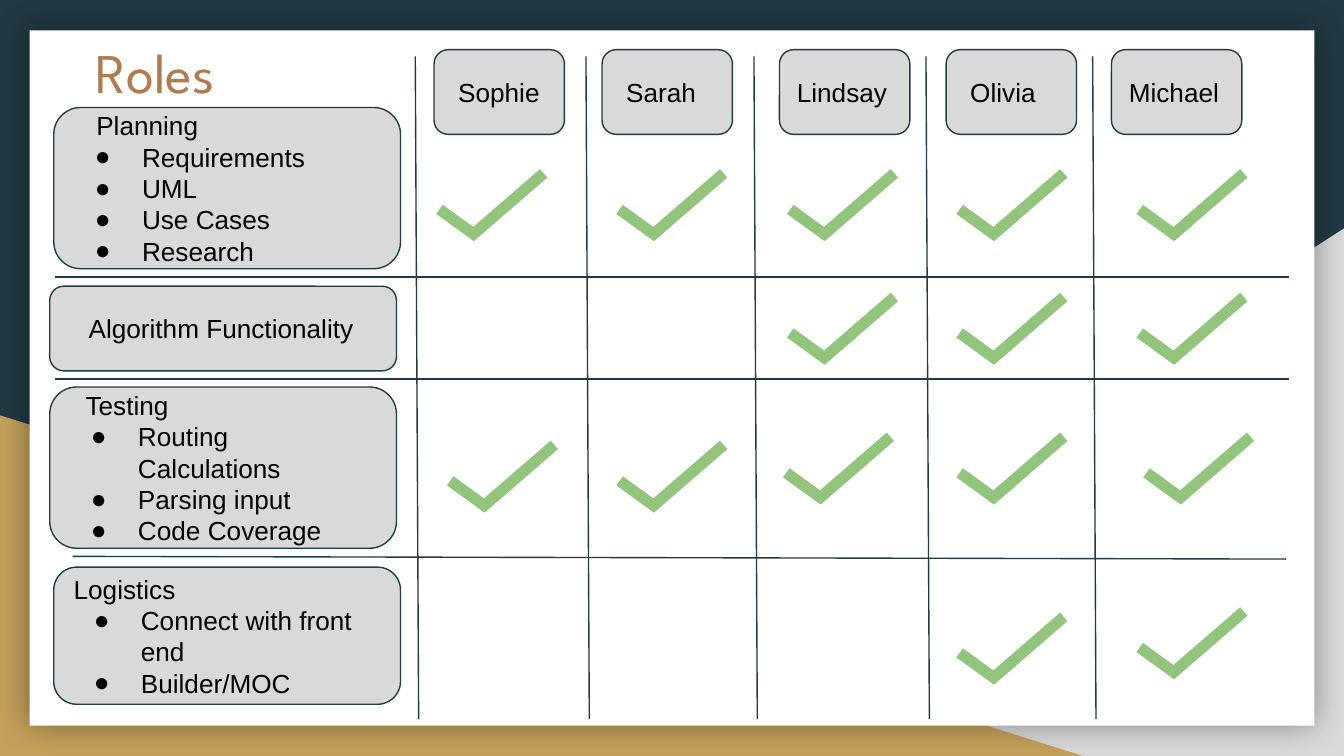
from lxml import etree
from pptx import Presentation
from pptx import util as u
from pptx.dml.color import RGBColor
from pptx.enum import shapes as sh, text as tx
from pptx.oxml.ns import qn

# Square grid: 100 columns by 56.25 rows, one cell is a tenth of an inch.
COLS, ROWS = 100, 56.25
NAVY, GOLD, GREY, GREEN = "233A44", "C4A15A", "D9D9D9", "93C47D"
KIND = sh.MSO_SHAPE

NAMES = [("Sophie", 32.3, 0.5), ("Sarah", 44.8, 0.5), ("Lindsay", 58, 0),
         ("Olivia", 70.4, 0.5), ("Michael", 82.7, 0)]
# Box, heading indent, heading, bullets
TASKS = [
    ((4, 8, 25.8, 12), 1.6, "Planning",
     ["Requirements", "UML", "Use Cases", "Research"]),
    ((3.7, 21.3, 25.8, 6.3), 1.6, "Algorithm Functionality", []),
    ((3.7, 28.8, 25.8, 12), 1.1, "Testing",
     ["Routing Calculations", "Parsing input", "Code Coverage"]),
    ((4, 42.2, 25.8, 10.2), 0, "Logistics",
     ["Connect with front end", "Builder/MOC"]),
]
RULES = [(4.1, 20.6, 95.9, 20.6), (4.1, 28.2, 95.9, 28.2),
         (5.4, 41.4, 95.7, 41.6)]
RULES += [(x, 4.2, x + 0.25, 53.5) for x in (30.9, 43.6, 56.1, 68.9, 81.3)]

TICK_X = [32.7, 46.1, 58.8, 71.4, 84.8]
TICK_Y = [12.9, 22.1, 32.5, 45.5]
DONE = ["11111", "00111", "11111", "00011"]
# Ticks set off from their grid place, by (row, column)
SHIFT = {(2, 0): (0.8, 0.6), (2, 1): (0, 0.6), (2, 2): (-0.3, 0),
         (2, 4): (0.5, 0), (3, 3): (0, 0.4)}


def cell(n):
    return u.Inches(n / 10)


def paint(fmt, hue):
    """Give a fill, or the fill of a line, one solid colour."""
    fmt.solid()
    fmt.fore_color.rgb = RGBColor.from_string(hue)


def block(page, kind, box, hue, edge=None):
    item = page.shapes.add_shape(kind, *map(cell, box))
    item.shadow.inherit = False
    paint(item.fill, hue)
    if edge:
        paint(item.line.fill, edge)
        item.line.width = u.Pt(0.75)
    else:
        item.line.fill.background()
    return item


def stroke(page, ends, hue, width):
    line = page.shapes.add_connector(sh.MSO_CONNECTOR.STRAIGHT,
                                     *map(cell, ends))
    paint(line.line.fill, hue)
    line.line.width = u.Pt(width)
    etree.SubElement(line.element.spPr, qn("a:effectLst"))


def write(para, words, face, size, hue):
    para.alignment = tx.PP_ALIGN.LEFT
    run = para.add_run()
    run.text = words
    run.font.name, run.font.size = face, u.Pt(size)
    run.font.color.rgb = RGBColor.from_string(hue)


def indent(para, left, hang=0, mark=None):
    props = para._p.get_or_add_pPr()
    props.set("marL", str(cell(left)))
    props.set("indent", str(cell(-hang)))
    if mark:
        etree.SubElement(props, qn("a:buFont")).set("typeface", "Arial")
        etree.SubElement(props, qn("a:buChar")).set("char", mark)


def inset(frame, anchor):
    frame.word_wrap = True
    frame.auto_size = tx.MSO_AUTO_SIZE.NONE
    frame.vertical_anchor = anchor
    frame.margin_left = frame.margin_right = cell(1)
    frame.margin_top = frame.margin_bottom = cell(1)


def card(page, box, left, head, points=()):
    """Rounded grey box with a heading and optional bullets."""
    frame = block(page, KIND.FLOWCHART_ALTERNATE_PROCESS, box, GREY,
                  NAVY).text_frame
    inset(frame, tx.MSO_ANCHOR.MIDDLE)
    para = frame.paragraphs[0]
    indent(para, left)
    write(para, head, "Arial", 14, "000000")
    for point in points:
        para = frame.add_paragraph()
        indent(para, 5, 3.5, "●")
        write(para, point, "Arial", 14, "000000")


def tick(page, box):
    x, y, w, h = box
    for a, b, c, d in ((0, 0.57, 0.36, 1), (0.3, 1, 1, 0)):
        ends = (x + a * w, y + b * h, x + c * w, y + d * h)
        stroke(page, ends, GREEN, 6)


def backdrop(page):
    """Two corner wedges and a white panel with a soft shadow."""
    paint(page.background.fill, NAVY)
    wedge = block(page, KIND.RIGHT_TRIANGLE,
                  (39.2, 17, 60.8, ROWS - 17), GREY)
    wedge.element.spPr.find(qn("a:xfrm")).set("flipH", "1")
    block(page, KIND.RIGHT_TRIANGLE, (0, 30.9, 80.6, ROWS - 30.9), GOLD)
    panel = block(page, KIND.RECTANGLE, (2.2, 2.25, 95.6, 51.75), "FFFFFF")
    glow = etree.SubElement(panel.element.spPr.find(qn("a:effectLst")),
                            qn("a:outerShdw"), blurRad=str(u.Pt(18)),
                            dist="0", dir="0", algn="ctr", rotWithShape="0")
    tone = etree.SubElement(glow, qn("a:srgbClr"), val="000000")
    etree.SubElement(tone, qn("a:alpha"), val="40000")


def header(page, box, words):
    title = page.shapes.title
    title.left, title.top, title.width, title.height = map(cell, box)
    inset(title.text_frame, tx.MSO_ANCHOR.TOP)
    write(title.text_frame.paragraphs[0], words, "League Spartan", 30,
          "AF7B51")
    title.element.getparent().append(title.element)  # in front of the panel


def matrix(page):
    """Task cards, name cards, ruled grid and ticks."""
    for box, left, head, points in TASKS:
        card(page, box, left, head, points)
    for name, x, left in NAMES:
        card(page, (x, 3.7, 9.7, 6.3), left, name)
    for ends in RULES:
        stroke(page, ends, NAVY, 0.75)
    for r, y in enumerate(TICK_Y):
        for c, x in enumerate(TICK_X):
            if DONE[r][c] == "1":
                dx, dy = SHIFT.get((r, c), (0, 0))
                tick(page, (x + dx, y + dy, 7.75, 4.7))


def main():
    deck = Presentation()
    deck.slide_width, deck.slide_height = cell(COLS), cell(ROWS)
    page = deck.slides.add_slide(deck.slide_layouts[5])
    backdrop(page)
    header(page, (6.1, 1.8, 93.2, 6.3), "Roles")
    matrix(page)
    deck.save("out.pptx")


if __name__ == "__main__":
    main()
